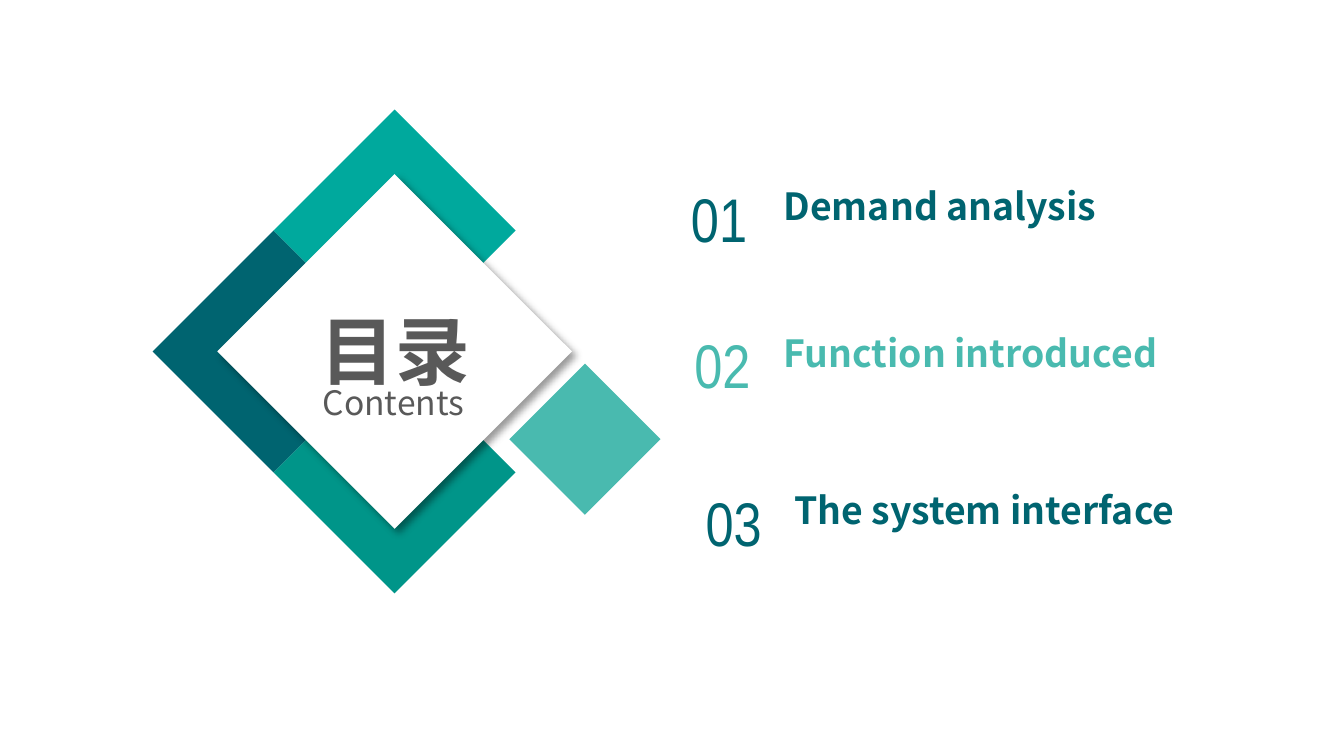
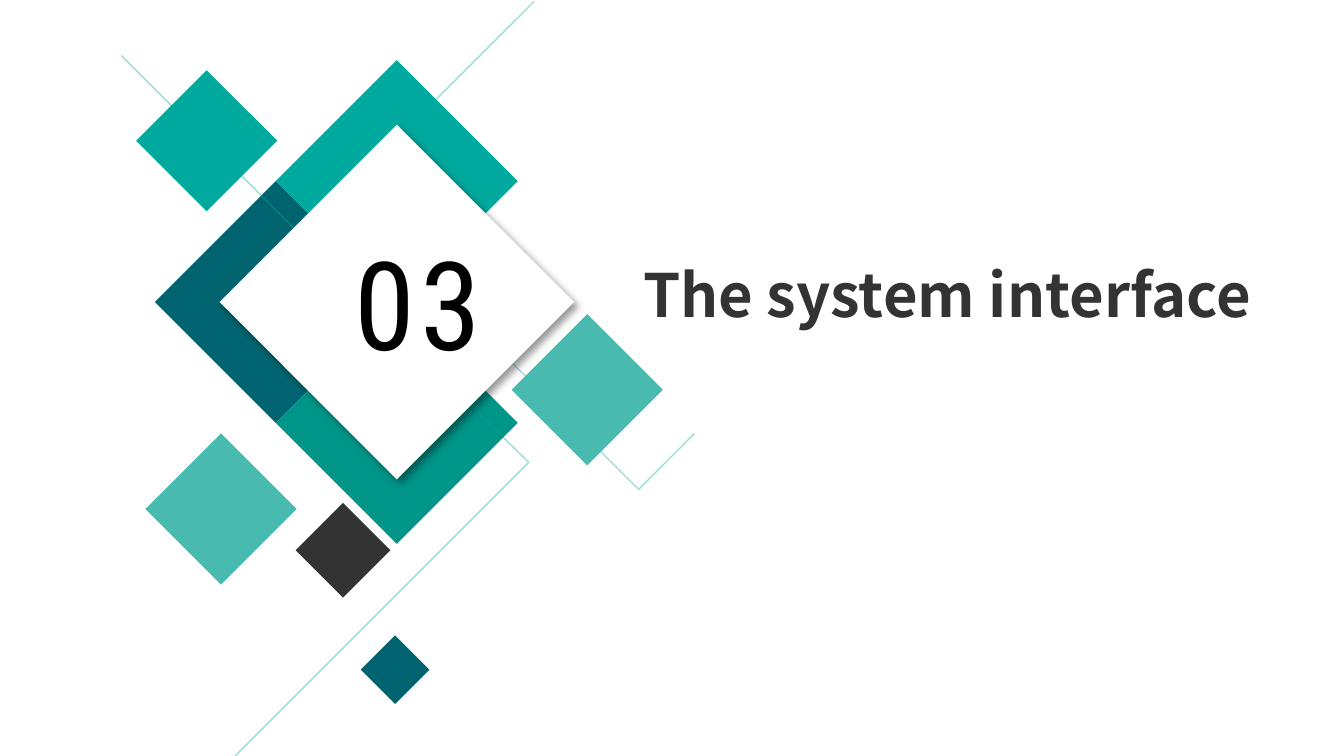
from dataclasses import dataclass, field

from lxml import etree
from pptx import Presentation
from pptx.dml.color import RGBColor
from pptx.enum.shapes import MSO_CONNECTOR, MSO_SHAPE
from pptx.enum.text import MSO_ANCHOR, PP_ALIGN
from pptx.oxml.ns import qn
from pptx.shapes.autoshape import Shape
from pptx.slide import Slide
from pptx.util import Pt

# Shared palette and fonts
DEEP = RGBColor(0x00, 0x64, 0x70)
TEAL = RGBColor(0x00, 0xA9, 0x9D)
GREEN = RGBColor(0x00, 0x95, 0x89)
MINT = RGBColor(0x49, 0xBA, 0xAF)
PALE = RGBColor(0x99, 0xDD, 0xD8)
DEEP_TRACE = RGBColor(0x00, 0x80, 0x82)
GREEN_TRACE = RGBColor(0x00, 0x9D, 0x91)
CHARCOAL = RGBColor(0x33, 0x33, 0x33)
GREY = RGBColor(0x59, 0x59, 0x59)
BLACK = RGBColor(0x00, 0x00, 0x00)
WHITE = RGBColor(0xFF, 0xFF, 0xFF)
SANS = "Noto Sans CJK SC"
NARROW = "Arial Narrow"
CONDENSED = "Roboto Condensed"

Stroke = tuple[tuple[float, float], ...]
NO_SIDE_MARGINS = {"margin_left": Pt(0), "margin_right": Pt(0)}
NO_MARGINS = NO_SIDE_MARGINS | {"margin_top": Pt(0), "margin_bottom": Pt(0)}
TILE_HALF = 64.8


@dataclass(frozen=True)
class Diamond:
    """A diamond given by its centre and half its diagonal, in points."""
    x: float
    y: float
    half: float
    color: RGBColor


@dataclass(frozen=True)
class Trace:
    """Thin strokes of one colour, each through several points."""
    color: RGBColor
    strokes: tuple[Stroke, ...]


@dataclass(frozen=True)
class Label:
    text: str
    left: float
    top: float
    width: float
    height: float
    size: float
    color: RGBColor
    face: str = SANS
    bold: bool = False
    align: PP_ALIGN = PP_ALIGN.LEFT
    spacing: float = 0
    frame: dict = field(default_factory=dict)


@dataclass(frozen=True)
class Entry:
    """One line of the contents list."""
    number: str
    title: str
    left: float
    top: float
    number_width: float
    color: RGBColor


ENTRIES = (
    Entry("01", "Demand analysis", 365.8, 95.8, 38.9, DEEP),
    Entry("02", "Function introduced", 365.8, 174.2, 42.5, MINT),
    Entry("03", "The system interface", 371.5, 258.5, 43.2, DEEP),
)

SATELLITES = (
    Diamond(110.7, 75.4, 37.8, TEAL),
    Diamond(183.8, 294.8, 25.4, CHARCOAL),
    Diamond(118.4, 272.7, 40.5, MINT),
    Diamond(211.7, 358.8, 18.4, DEEP),
)

TRACES = (
    Trace(PALE, (((227.2, 147.2), (342.2, 262.2), (372, 232.3)),
                 ((286.2, 0.7), (233.6, 53.3)))),
    Trace(TEAL, (((233.6, 53.3), (184, 103.3), (227.2, 147.2)),)),
    Trace(PALE, (((269.6, 234.4), (283.3, 247.7), (126, 405)),
                 ((129.6, 94.3), (140, 104.8)),
                 ((65, 29.7), (91.8, 56.5)))),
    Trace(DEEP_TRACE, (((140, 104.8), (204.8, 169.6)),)),
    Trace(TEAL, (((91.8, 56.5), (129.6, 94.3)),)),
    Trace(GREEN_TRACE, (((204.8, 169.6), (269.6, 234.4)),)),
)


def draw_diamond(slide: Slide, diamond: Diamond) -> Shape:
    side = Pt(2 * diamond.half)
    shape = slide.shapes.add_shape(
        MSO_SHAPE.DIAMOND, Pt(diamond.x - diamond.half),
        Pt(diamond.y - diamond.half), side, side)
    shape.fill.solid()
    shape.fill.fore_color.rgb = diamond.color
    shape.line.fill.background()
    shape.shadow.inherit = False
    return shape


def cast_shadow(shape: Shape) -> None:
    effects = shape._element.spPr.find(qn("a:effectLst"))
    shadow = etree.SubElement(
        effects, qn("a:outerShdw"), blurRad=str(Pt(4)), dist=str(Pt(3)),
        dir="2700000", algn="tl", rotWithShape="0")
    color = etree.SubElement(shadow, qn("a:srgbClr"), val=str(BLACK))
    etree.SubElement(color, qn("a:alpha"), val="40000")


def draw_trace(slide: Slide, trace: Trace) -> None:
    """A single straight stroke is a connector, anything else a freeform."""
    strokes = [[(Pt(x), Pt(y)) for x, y in stroke] for stroke in trace.strokes]
    (start, *rest), *others = strokes
    if len(rest) == 1 and not others:
        thread = slide.shapes.add_connector(MSO_CONNECTOR.STRAIGHT, *start, *rest[0])
    else:
        builder = slide.shapes.build_freeform(*start)
        builder.add_line_segments(rest, close=False)
        for begin, *following in others:
            builder.move_to(*begin)
            builder.add_line_segments(following, close=False)
        thread = builder.convert_to_shape()
        thread.fill.background()
    thread.line.color.rgb = trace.color
    thread.line.width = Pt(0.75)
    etree.SubElement(thread._element.spPr, qn("a:effectLst"))


def draw_label(slide: Slide, label: Label) -> None:
    box = slide.shapes.add_textbox(
        Pt(label.left), Pt(label.top), Pt(label.width), Pt(label.height))
    for name, value in ({"word_wrap": True} | label.frame).items():
        setattr(box.text_frame, name, value)
    paragraph = box.text_frame.paragraphs[0]
    paragraph.alignment = label.align
    run = paragraph.add_run()
    run.text = label.text
    run.font.color.rgb = label.color
    formats = {"size": Pt(label.size), "name": label.face, "bold": label.bold}
    for name, value in formats.items():
        setattr(run.font, name, value)
    properties = run._r.get_or_add_rPr()
    etree.SubElement(properties, qn("a:ea"), typeface=label.face)
    if label.spacing:
        properties.set("spc", str(round(label.spacing * 100)))


def draw_emblem(slide: Slide, x: float, y: float,
                traces: tuple[Trace, ...] = ()) -> None:
    """Three tiles behind a white diamond, with an accent at lower right."""
    for dx, dy, color in ((-1, 0, DEEP), (0, -1, TEAL), (0, 1, GREEN)):
        draw_diamond(slide, Diamond(x + dx * TILE_HALF, y + dy * TILE_HALF,
                                    TILE_HALF, color))
    for trace in traces:
        draw_trace(slide, trace)
    cast_shadow(draw_diamond(slide, Diamond(x, y, 95, WHITE)))
    draw_diamond(slide, Diamond(x + 102, y + 47, 40.5, MINT))


def draw_entry(slide: Slide, entry: Entry) -> None:
    draw_label(slide, Label(
        entry.number, entry.left, entry.top, entry.number_width, 41.8, 33,
        entry.color, NARROW, align=PP_ALIGN.CENTER,
        frame=NO_SIDE_MARGINS | {"word_wrap": False,
                                 "vertical_anchor": MSO_ANCHOR.MIDDLE}))
    draw_label(slide, Label(
        entry.title, entry.left + 25.9, entry.top + 12.2, 234, 14.4, 20,
        entry.color, bold=True,
        frame=NO_MARGINS | {"margin_left": Pt(28), "word_wrap": False,
                            "vertical_anchor": MSO_ANCHOR.BOTTOM}))


def build_contents(slide: Slide) -> None:
    draw_emblem(slide, 211.4, 188.3)
    for entry in ENTRIES:
        draw_entry(slide, entry)
    draw_label(slide, Label(
        "Contents", 157.5, 195.8, 106.6, 30.2, 18, GREY, align=PP_ALIGN.CENTER,
        frame=NO_MARGINS | {"vertical_anchor": MSO_ANCHOR.BOTTOM}))
    draw_label(slide, Label("目录", 158.4, 159.8, 106.6, 54.7, 40, GREY,
                            bold=True, align=PP_ALIGN.CENTER))


def build_section(slide: Slide) -> None:
    draw_label(slide, Label("The system interface", 337.4, 134.6, 483.8, 46.1,
                            32, CHARCOAL, bold=True))
    for satellite in SATELLITES[:2]:
        draw_diamond(slide, satellite)
    draw_emblem(slide, 212.6, 161.8, TRACES)
    for satellite in SATELLITES[2:]:
        draw_diamond(slide, satellite)
    draw_label(slide, Label("03", 182.6, 118.1, 85, 161.3, 66, BLACK,
                            CONDENSED, spacing=3))


def main() -> None:
    deck = Presentation()
    deck.slide_width, deck.slide_height = Pt(720), Pt(405)
    for build in (build_contents, build_section):
        build(deck.slides.add_slide(deck.slide_layouts[6]))
    deck.save("out.pptx")


if __name__ == "__main__":
    main()
